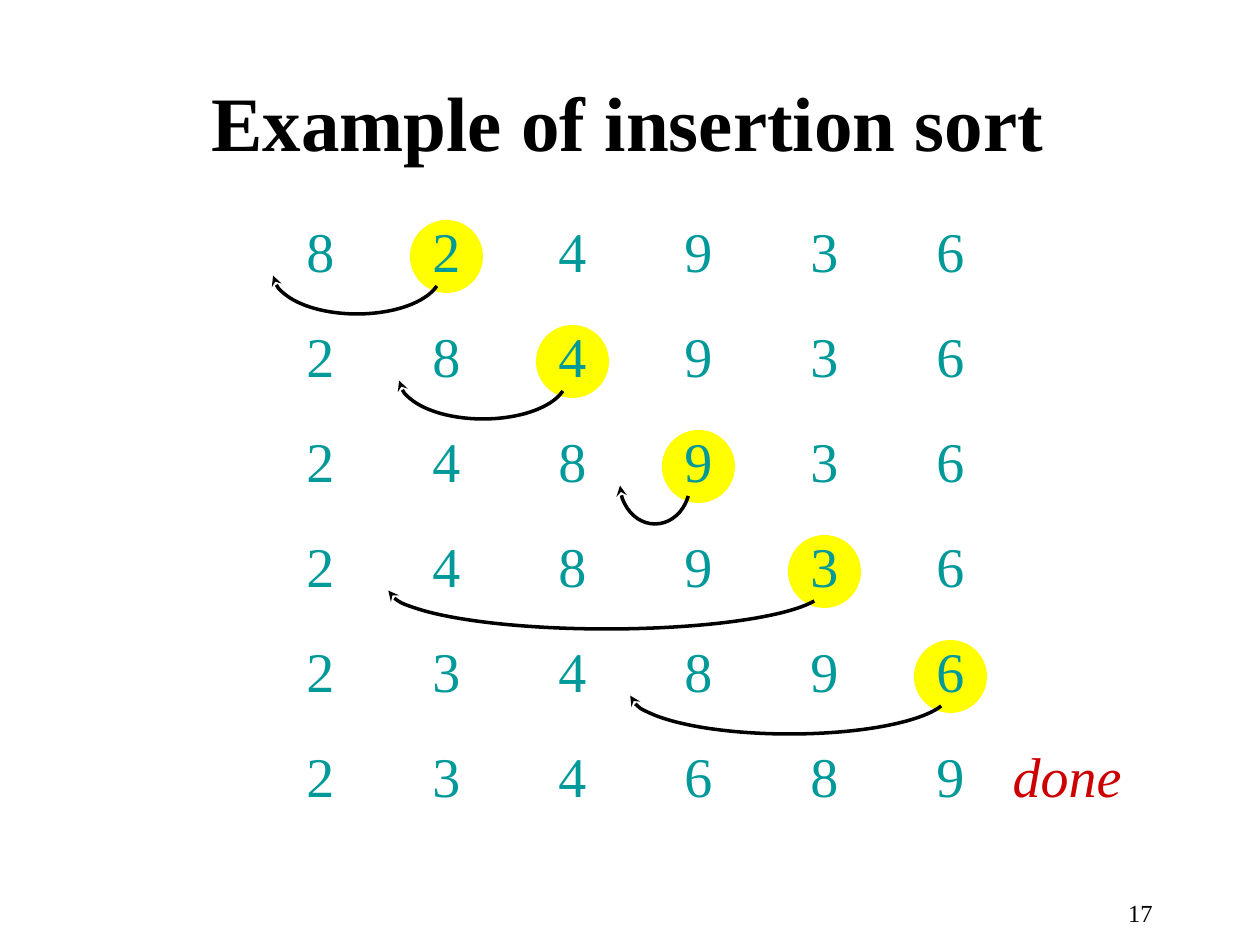
"""Build a slide that traces insertion sort on six numbers."""
import math
from dataclasses import dataclass
from typing import Optional

from lxml import etree
from pptx import Presentation
from pptx import util as u
from pptx.dml import color as dml
from pptx.enum import shapes, text
from pptx.oxml import ns
from pptx.slide import Slide

EMU_PER_PX = 914400 / 126
FONT = "Times New Roman"
COLORS = {
    "ink": "000000",
    "digit": "009999",
    "done": "CC0000",
    "highlight": "FFFF00",
}

FIRST_COLUMN, COLUMN_STEP = 294, 126
FIRST_ROW, ROW_STEP = 210, 105
DIGIT_WIDTH, LINE_HEIGHT = 53, 81
CIRCLE_SIZE, CIRCLE_INSET = 73, 10
ARC_INSET, ARC_HEIGHT = 23, 81
ARC_START, ARC_END = 18, 177


@dataclass(frozen=True)
class Box:
    left: int
    top: int
    width: int
    height: int

    def emu(self) -> list[u.Emu]:
        return [px(value) for value in (self.left, self.top, self.width, self.height)]


@dataclass(frozen=True)
class Style:
    size: int
    color: str = "ink"
    bold: bool = False
    italic: bool = False
    align: text.PP_ALIGN = text.PP_ALIGN.CENTER
    anchor: text.MSO_ANCHOR = text.MSO_ANCHOR.TOP
    wrap: bool = False


@dataclass(frozen=True)
class Move:
    column: int
    arc_left: int
    arc_width: int


@dataclass(frozen=True)
class Pass:
    digits: str
    move: Optional[Move] = None


TITLE = Style(44, bold=True, align=text.PP_ALIGN.LEFT, anchor=text.MSO_ANCHOR.MIDDLE, wrap=True)
DIGIT = Style(32, "digit")
DONE = Style(32, "done", italic=True)
PAGE_NUMBER = Style(14, align=text.PP_ALIGN.RIGHT, wrap=True)

PASSES = [
    Pass("824936", Move(1, 273, 168)),
    Pass("284936", Move(2, 399, 168)),
    Pass("248936", Move(3, 620, 70)),
    Pass("248936", Move(4, 388, 437)),
    Pass("234896", Move(5, 630, 319)),
    Pass("234689"),
]


def px(value: int) -> u.Emu:
    return u.Emu(round(value * EMU_PER_PX))


def rgb(name: str) -> dml.RGBColor:
    return dml.RGBColor.from_string(COLORS[name])


def add_text(slide: Slide, box: Box, words: str, style: Style) -> None:
    frame = slide.shapes.add_textbox(*box.emu()).text_frame
    frame.word_wrap = style.wrap
    frame.vertical_anchor = style.anchor
    paragraph = frame.paragraphs[0]
    paragraph.alignment = style.align
    run = paragraph.add_run()
    run.text = words
    run.font.name = FONT
    run.font.size = u.Pt(style.size)
    run.font.bold = style.bold
    run.font.italic = style.italic
    run.font.color.rgb = rgb(style.color)


def add_highlight(slide: Slide, column: int, row_top: int) -> None:
    left = FIRST_COLUMN + column * COLUMN_STEP - CIRCLE_INSET
    box = Box(left, row_top + CIRCLE_INSET, CIRCLE_SIZE, CIRCLE_SIZE)
    shape = slide.shapes.add_shape(shapes.MSO_SHAPE.OVAL, *box.emu())
    shape.shadow.inherit = False
    shape.fill.solid()
    shape.fill.fore_color.rgb = rgb("highlight")
    shape.line.fill.background()


def arc_adjustment(box: Box, degrees: int) -> float:
    angle = math.radians(degrees)
    seen = math.atan2(box.height * math.sin(angle), box.width * math.cos(angle))
    return math.degrees(seen) * 0.6


def add_arc(slide: Slide, move: Move, row_top: int) -> None:
    box = Box(move.arc_left, row_top + ARC_INSET, move.arc_width, ARC_HEIGHT)
    shape = slide.shapes.add_shape(shapes.MSO_SHAPE.ARC, *box.emu())
    shape.shadow.inherit = False
    for index, degrees in enumerate((ARC_START, ARC_END)):
        shape.adjustments[index] = arc_adjustment(box, degrees)
    shape.fill.background()
    shape.line.color.rgb = rgb("ink")
    shape.line.width = u.Pt(2)
    line = shape.element.spPr.find(ns.qn("a:ln"))
    etree.SubElement(line, ns.qn("a:tailEnd"), type="stealth")


def add_pass(slide: Slide, row: int, sort_pass: Pass) -> None:
    top = FIRST_ROW + row * ROW_STEP
    if sort_pass.move:
        add_highlight(slide, sort_pass.move.column, top)
    for column, digit in enumerate(sort_pass.digits):
        box = Box(FIRST_COLUMN + column * COLUMN_STEP, top, DIGIT_WIDTH, LINE_HEIGHT)
        add_text(slide, box, digit, DIGIT)
    if sort_pass.move:
        add_arc(slide, sort_pass.move, top)


def main() -> None:
    presentation = Presentation()
    presentation.slide_width, presentation.slide_height = px(1260), px(945)
    slide = presentation.slides.add_slide(presentation.slide_layouts[6])
    add_text(slide, Box(199, 42, 1040, 157), "Example of insertion sort", TITLE)
    for row, sort_pass in enumerate(PASSES):
        add_pass(slide, row, sort_pass)
    last_top = FIRST_ROW + (len(PASSES) - 1) * ROW_STEP
    add_text(slide, Box(1000, last_top, 134, LINE_HEIGHT), "done", DONE)
    add_text(slide, Box(903, 892, 262, 31), "17", PAGE_NUMBER)
    presentation.save("out.pptx")


if __name__ == "__main__":
    main()
